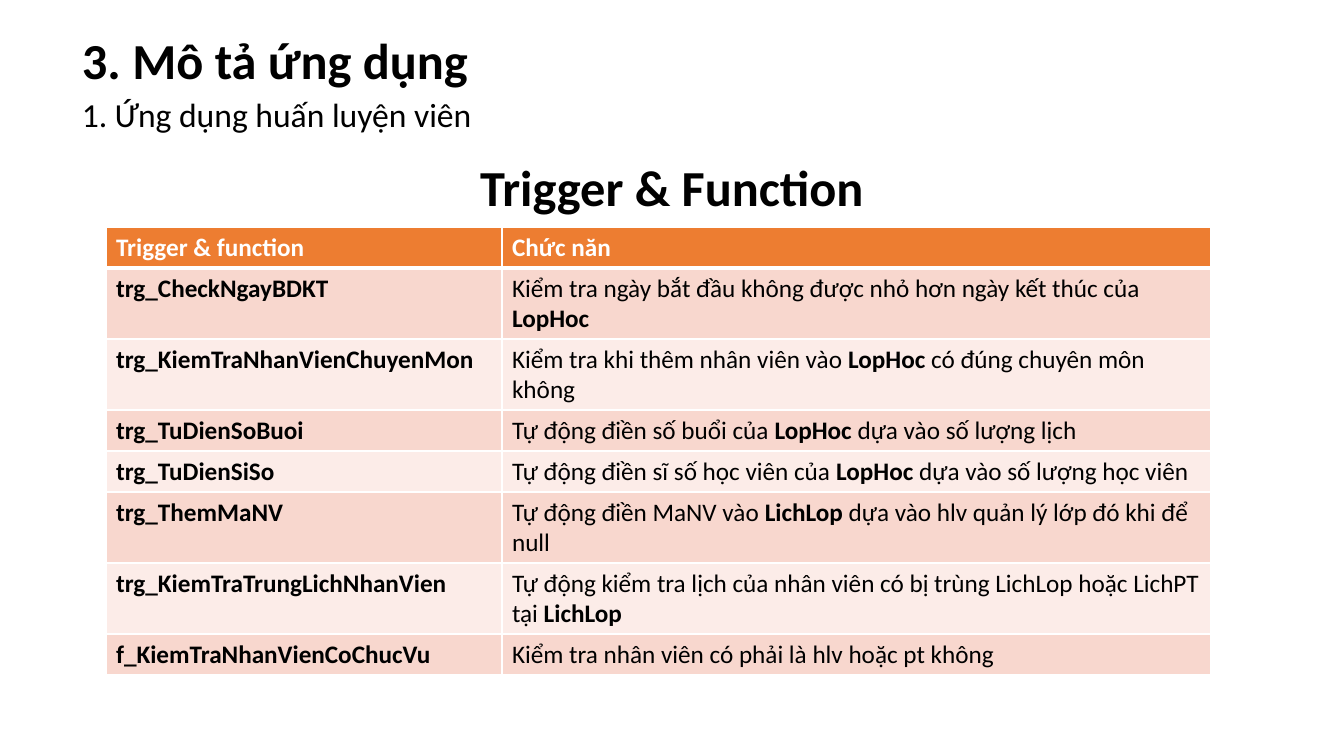
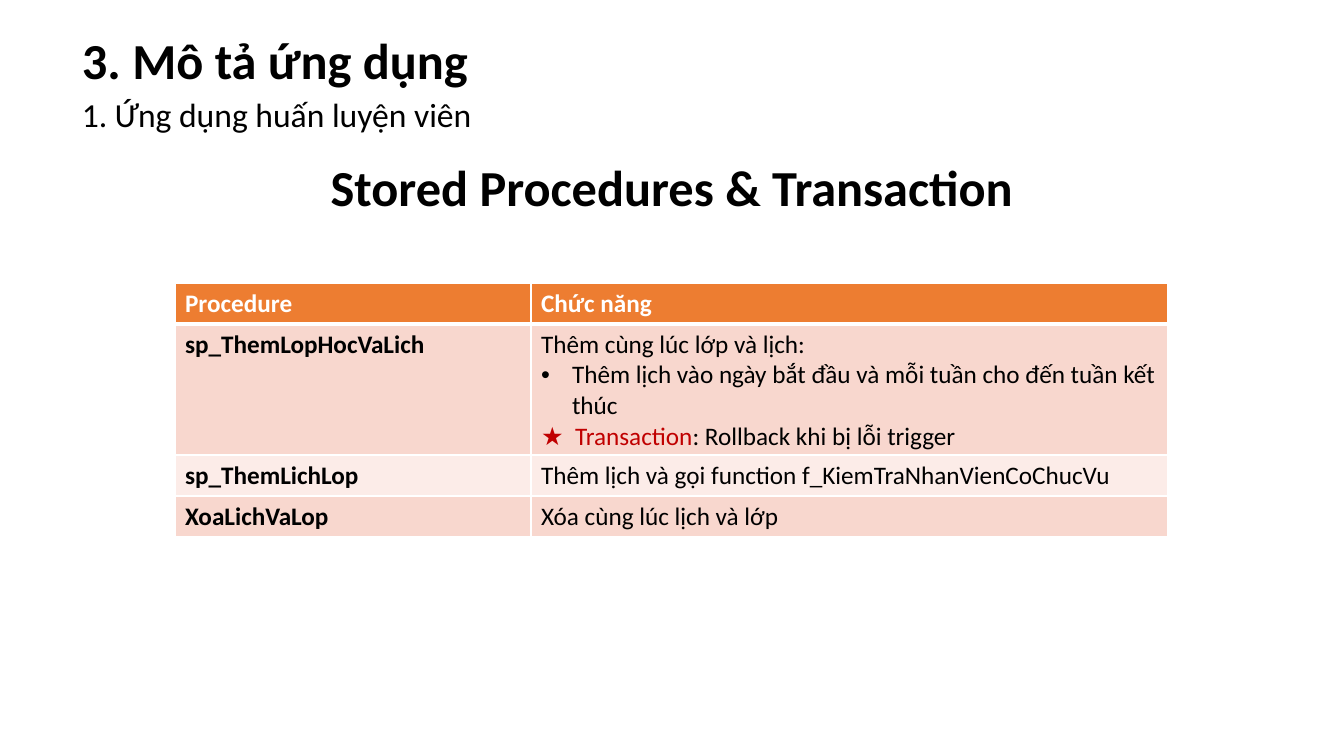
from lxml import etree
from pptx import Presentation
from pptx import util as u
from pptx.dml.color import RGBColor
from pptx.enum import text
from pptx.oxml import ns

PX = 914400 / 100.8
FONT = "Calibri"
COLORS = {
    "ink": "000000",
    "white": "FFFFFF",
    "header": "ED7D31",
    "band_dark": "F8D7CE",
    "band_light": "FCECE8",
    "accent": "C00000",
}
ROW_H, LINE_H = 41, 30
TITLE = "3. Mô tả ứng dụng"
SUBTITLE = "1. Ứng dụng huấn luyện viên"

TRIGGERS = {
    "heading": "Trigger & Function",
    "box": (106, 227, 1105),
    "name_w": 396,
    "header": ("Trigger & function", "Chức năn"),
    "rows": [
        ("trg_CheckNgayBDKT", 2,
         ["Kiểm tra ngày bắt đầu không được nhỏ hơn ngày kết thúc của *LopHoc"]),
        ("trg_KiemTraNhanVienChuyenMon", 2,
         ["Kiểm tra khi thêm nhân viên vào *LopHoc *có đúng chuyên môn không"]),
        ("trg_TuDienSoBuoi", 1,
         ["Tự động điền số buổi của *LopHoc *dựa vào số lượng lịch"]),
        ("trg_TuDienSiSo", 1,
         ["Tự động điền sĩ số học viên của *LopHoc *dựa vào số lượng học viên"]),
        ("trg_ThemMaNV", 2,
         ["Tự động điền MaNV vào *LichLop *dựa vào hlv quản lý lớp đó khi để null"]),
        ("trg_KiemTraTrungLichNhanVien", 2,
         ["Tự động kiểm tra lịch của nhân viên có bị trùng LichLop hoặc LichPT tại *LichLop"]),
        ("f_KiemTraNhanVienCoChucVu", 1,
         ["Kiểm tra nhân viên có phải là hlv hoặc pt không"]),
    ],
}
PROCEDURES = {
    "heading": "Stored Procedures & Transaction",
    "box": (175, 283, 993),
    "name_w": 356,
    "header": ("Procedure", "Chức năng"),
    "rows": [
        ("sp_ThemLopHocVaLich", 4,
         ["Thêm cùng lúc lớp và lịch:",
          "•Thêm lịch vào ngày bắt đầu và mỗi tuần cho đến tuần kết thúc",
          "*★\tTransaction*: Rollback khi bị lỗi trigger"]),
        ("sp_ThemLichLop", 1,
         ["Thêm lịch và gọi function f_KiemTraNhanVienCoChucVu"]),
        ("XoaLichVaLop", 1, ["Xóa cùng lúc lịch và lớp"]),
    ],
}


def px(n):
    return u.Emu(round(n * PX))


def style_run(r, size, color="ink", bold=False):
    r.font.name = FONT
    r.font.size = u.Pt(size)
    r.font.bold = bold
    r.font.color.rgb = RGBColor.from_string(COLORS[color])


def add_text(slide, box, content, size, bold=False, align=text.PP_ALIGN.LEFT):
    sp = slide.shapes.add_textbox(*map(px, box))
    tf = sp.text_frame
    tf.word_wrap = True
    tf.text = content
    p = tf.paragraphs[0]
    p.alignment = align
    style_run(p.runs[0], size, bold=bold)


def hang(p, indent, bullet=None):
    pPr = p._p.get_or_add_pPr()
    pPr.set("marL", str(px(indent)))
    pPr.set("indent", str(-px(indent)))
    if bullet:
        etree.SubElement(pPr, ns.qn("a:buFont")).set("typeface", "Arial")
        etree.SubElement(pPr, ns.qn("a:buChar")).set("char", bullet)


def fill_paragraph(p, content):
    starred = content.startswith("*★")
    if content.startswith("•"):
        content = content[1:]
        hang(p, 31, "•")
    elif starred:
        hang(p, 34)
    for i, part in enumerate(content.split("*")):
        if not part:
            continue
        marked = i % 2 == 1
        r = p.add_run()
        r.text = part
        style_run(r, 18, "accent" if marked and starred else "ink", marked and not starred)


def style_cell(cell, fill, top=1, bottom=1):
    tcPr = cell._tc.get_or_add_tcPr()
    for side, width in (("L", 1), ("R", 1), ("T", top), ("B", bottom)):
        ln = etree.SubElement(tcPr, ns.qn(f"a:ln{side}"), w=str(u.Pt(width)))
        line_fill = etree.SubElement(ln, ns.qn("a:solidFill"))
        etree.SubElement(line_fill, ns.qn("a:srgbClr"), val=COLORS["white"])
    cell.fill.solid()
    cell.fill.fore_color.rgb = RGBColor.from_string(COLORS[fill])


def set_label(cell, label, color):
    cell.text_frame.text = label
    style_run(cell.text_frame.paragraphs[0].runs[0], 18, color, True)


def add_routine_table(slide, box, name_w, header, rows):
    x, y, w = box
    heights = [ROW_H] + [ROW_H + LINE_H * (lines - 1) for _, lines, _ in rows]
    frame = slide.shapes.add_table(len(heights), 2, px(x), px(y), px(w), px(sum(heights)))
    table = frame.table
    table.horz_banding = False
    for col, width in zip(table.columns, (name_w, w - name_w)):
        col.width = px(width)
    for row, height in zip(table.rows, heights):
        row.height = px(height)
    for c, label in enumerate(header):
        style_cell(table.cell(0, c), "header", bottom=3)
        set_label(table.cell(0, c), label, "white")
    for i, (name, _, paragraphs) in enumerate(rows, 1):
        for c in range(2):
            style_cell(table.cell(i, c), "band_dark" if i % 2 else "band_light",
                       top=3 if i == 1 else 1)
        set_label(table.cell(i, 0), name, "ink")
        tf = table.cell(i, 1).text_frame
        for j, content in enumerate(paragraphs):
            fill_paragraph(tf.add_paragraph() if j else tf.paragraphs[0], content)


def add_titles(slide, box):
    x, y, w = box
    add_text(slide, (x, y, w, 71), TITLE, 36, bold=True)
    add_text(slide, (x, y + 65, w, 50), SUBTITLE, 24)


def add_routine_slide(prs, content):
    slide = prs.slides.add_slide(prs.slide_layouts[6])
    add_titles(slide, (72, 24, 795))
    add_text(slide, (313, 151, 718, 71), content["heading"], 36, True, text.PP_ALIGN.CENTER)
    add_routine_table(slide, content["box"], content["name_w"], content["header"], content["rows"])


def main():
    prs = Presentation()
    prs.slide_width, prs.slide_height = px(1344), px(756)
    for content in (TRIGGERS, PROCEDURES):
        add_routine_slide(prs, content)
    prs.save("out.pptx")


if __name__ == "__main__":
    main()
